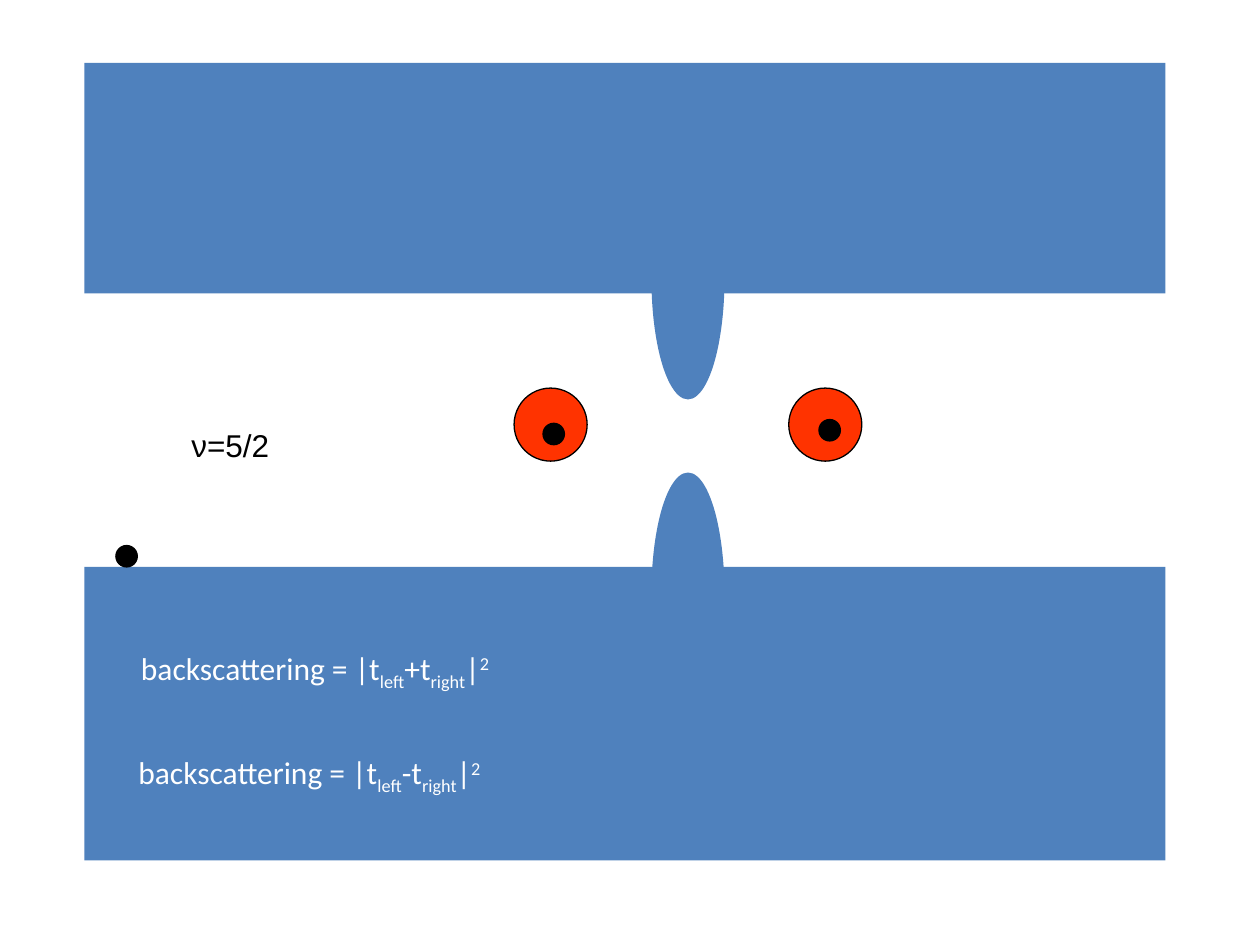
from dataclasses import dataclass

from pptx import Presentation
from pptx.dml.color import RGBColor
from pptx.enum.shapes import MSO_SHAPE
from pptx.enum.text import MSO_ANCHOR, MSO_AUTO_SIZE, PP_ALIGN
from pptx.util import Inches, Pt


@dataclass(frozen=True)
class Theme:
    gate: RGBColor = RGBColor(0x4F, 0x81, 0xBD)
    island: RGBColor = RGBColor(0xFF, 0x33, 0x00)
    ink: RGBColor = RGBColor(0, 0, 0)
    formula: RGBColor = RGBColor(0xFF, 0xFF, 0xFF)
    formula_font: str = "Calibri"
    label_font: str = "Arial"
    text_size: Pt = Pt(18)
    outline: Pt = Pt(0.75)


THEME = Theme()
SUBSCRIPT, NORMAL, SUPERSCRIPT = -25000, 0, 30000


def add_area(slide, preset, box, fill, line=None):
    area = slide.shapes.add_shape(preset, *map(Inches, box))
    area.shadow.inherit = False
    area.fill.solid()
    area.fill.fore_color.rgb = fill
    if line is None:
        area.line.fill.background()
    else:
        area.line.color.rgb = line
        area.line.width = THEME.outline
    return area


def write_line(area, pieces, font_name, color):
    frame = area.text_frame
    frame.word_wrap = False
    frame.auto_size = MSO_AUTO_SIZE.SHAPE_TO_FIT_TEXT
    frame.vertical_anchor = MSO_ANCHOR.TOP
    paragraph = frame.paragraphs[0]
    paragraph.alignment = PP_ALIGN.LEFT
    for text, baseline in pieces:
        run = paragraph.add_run()
        run.text = text
        run.font.name = font_name
        run.font.size = THEME.text_size
        run.font.color.rgb = color
        if baseline != NORMAL:
            run._r.get_or_add_rPr().set("baseline", str(baseline))


def add_gates(slide, left, top, width, upper_height, lower_top, lower_height):
    for gate_top, height in ((top, upper_height), (lower_top, lower_height)):
        add_area(slide, MSO_SHAPE.RECTANGLE, (left, gate_top, width, height), THEME.gate)


def add_constriction(slide, left, upper_top, lower_top, width, height):
    for tip_top in (lower_top, upper_top):
        add_area(slide, MSO_SHAPE.OVAL, (left, tip_top, width, height), THEME.gate)


def add_islands(slide, lefts, top, size):
    for left in lefts:
        add_area(slide, MSO_SHAPE.OVAL, (left, top, size, size), THEME.island, THEME.ink)


def add_quasiparticles(slide, corners, size):
    for left, top in corners:
        add_area(slide, MSO_SHAPE.OVAL, (left, top, size, size), THEME.ink, THEME.ink)


def add_backscattering(slide, box, sign):
    pieces = (
        ("backscattering = |t", NORMAL),
        ("left", SUBSCRIPT),
        (f"{sign}t", NORMAL),
        ("right", SUBSCRIPT),
        ("|", NORMAL),
        ("2", SUPERSCRIPT),
    )
    formula = add_area(slide, MSO_SHAPE.RECTANGLE, box, THEME.gate)
    write_line(formula, pieces, THEME.formula_font, THEME.formula)


def add_filling_factor(slide, box):
    label = slide.shapes.add_textbox(*map(Inches, box))
    write_line(label, (("ν=5/2", NORMAL),), THEME.label_font, THEME.ink)


def main():
    deck = Presentation()
    deck.slide_width, deck.slide_height = Inches(10), Inches(7.5)
    slide = deck.slides.add_slide(deck.slide_layouts[6])
    add_gates(slide, 0.67, 0.5, 8.58, 1.83, 4.5, 2.33)
    add_constriction(slide, 5.17, 1.25, 3.75, 0.58, 1.92)
    add_islands(slide, (4.08, 6.26), 3.08, 0.58)
    add_quasiparticles(slide, ((6.5, 3.33), (4.31, 3.36), (0.92, 4.33)), 0.17)
    add_backscattering(slide, (1.02, 5.1, 3.15, 0.4), "+")
    add_backscattering(slide, (1, 5.93, 3.09, 0.4), "-")
    add_filling_factor(slide, (1.42, 3.33, 0.85, 0.4))
    deck.save("out.pptx")


if __name__ == "__main__":
    main()
